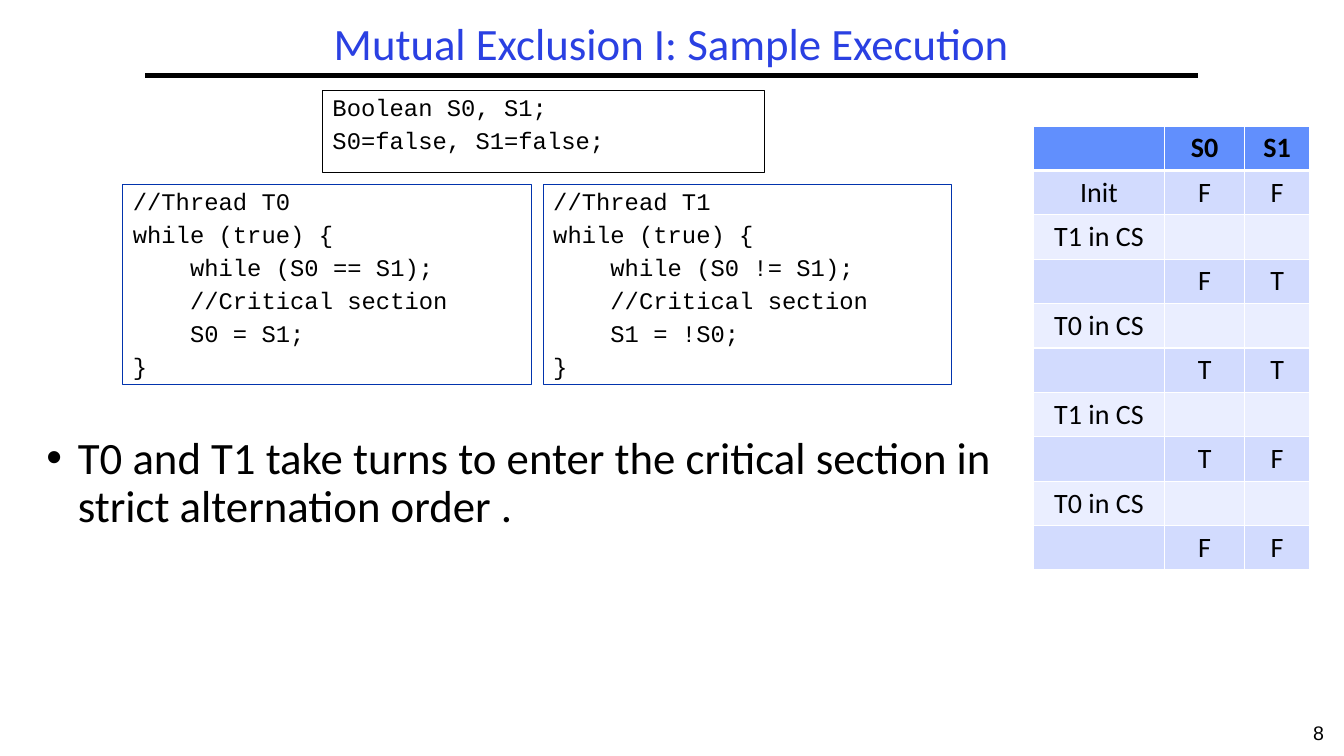
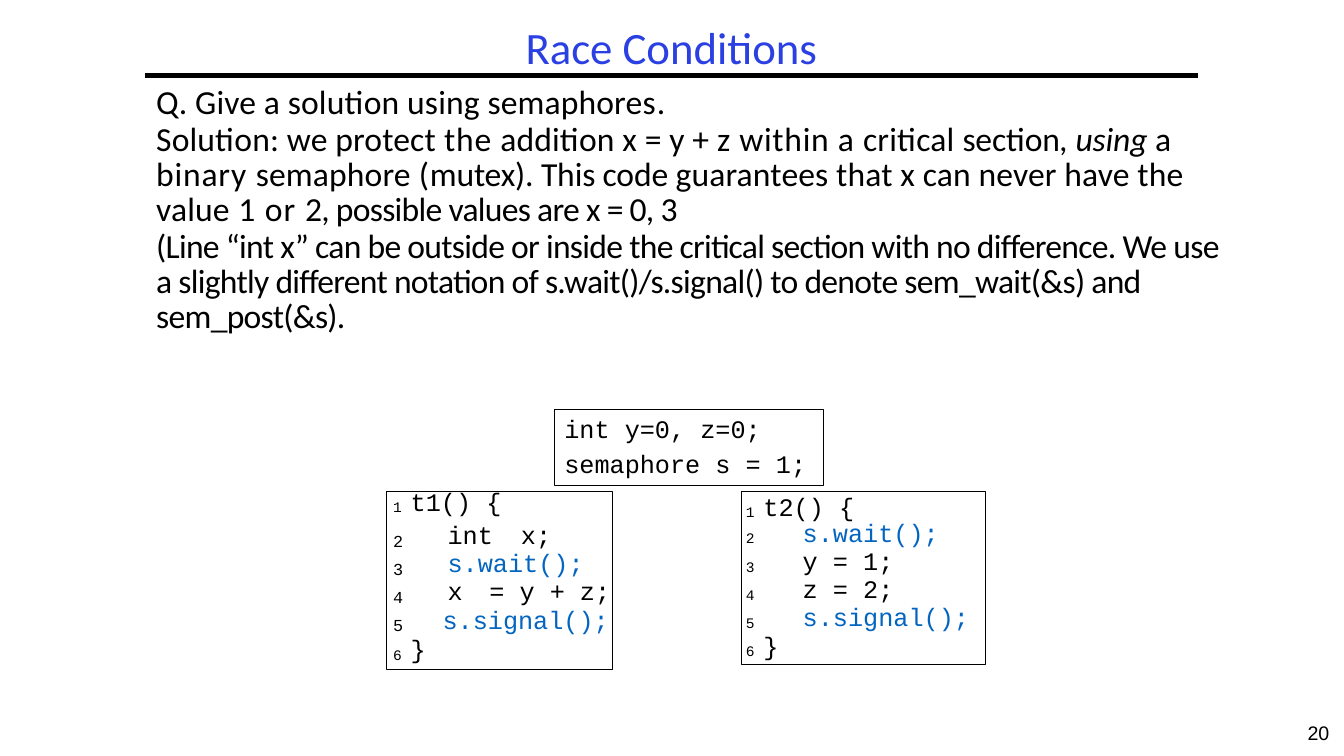
from dataclasses import dataclass

from lxml import etree
from pptx import Presentation
from pptx import util as u
from pptx.dml.color import RGBColor
from pptx.enum import shapes, text
from pptx.oxml.ns import qn

Pt = u.Pt
LEFT, MID = text.PP_ALIGN.LEFT, text.PP_ALIGN.CENTER
TOP, CENTRE = text.MSO_ANCHOR.TOP, text.MSO_ANCHOR.MIDDLE
PLAIN = "{2D5ABB26-0587-4C30-8999-92F81FD0307C}"


@dataclass(frozen=True)
class Theme:
    ink: str = "000000"
    paper: str = "FFFFFF"
    title: str = "2A40E2"
    edge: str = "0234AD"
    call: str = "0365C0"
    head: str = "618FFD"
    bands: tuple = ("D2DBFE", "EAEEFF")
    sans: str = "Calibri"
    mono: str = "Courier New"
    foot: str = "Arial"
    big: float = 32
    prose: float = 24
    grid: float = 20
    code: float = 18
    small: float = 17
    page: float = 14
    mark: float = 12


T = Theme()


def write(frame, lines, face=T.sans, size=T.prose, ink=T.ink, bold=False, align=LEFT,
          anchor=TOP, pads=(7.2, 3.6, 7.2, 3.6), gap=1.0, before=0, left=0, hang=0):
    frame.word_wrap = True
    frame.auto_size = text.MSO_AUTO_SIZE.NONE
    frame.vertical_anchor = anchor
    (frame.margin_left, frame.margin_top,
     frame.margin_right, frame.margin_bottom) = map(Pt, pads)
    for i, line in enumerate(lines):
        par = frame.paragraphs[0] if i == 0 else frame.add_paragraph()
        props = par._p.get_or_add_pPr()
        props.set("marL", str(Pt(left)))
        props.set("indent", str(Pt(hang)))
        par.alignment = align
        par.line_spacing = gap
        par.space_before = Pt(before if i else 0)
        par.space_after = Pt(0)
        for words, look in [(line, {})] if isinstance(line, str) else line:
            run = par.add_run()
            run.text = words
            font = run.font
            font.name, font.size = face, Pt(size)
            font.bold, font.italic = bold, look.get("slant", False)
            font.color.rgb = RGBColor.from_string(look.get("ink", ink))
            for key in ("spc", "baseline"):
                if key in look:
                    run._r.get_or_add_rPr().set(key, str(look[key]))


def spaced(*parts):
    return [(words, {"spc": spc}) for words, spc in parts]


def apart(one, two, spc):
    return spaced((one, 0), (" ", spc), (two, 0))


def lead(mark):
    return (mark, {"baseline": -7000})


class Deck:
    def __init__(self):
        self.file = Presentation()
        self.file.slide_width, self.file.slide_height = Pt(960), Pt(540)
        self.slide = None

    def start(self, layout, title, page, gap):
        self.slide = self.file.slides.add_slide(self.file.slide_layouts[layout])
        self.place(self.slide.shapes.title, 103.7, 12.2, 752, 41.8)
        write(self.slide.shapes.title.text_frame, [title], size=T.big, ink=T.title,
              align=MID, anchor=CENTRE, gap=gap)
        self.rule(103.7, 54, 856)
        self.label([page], 923.8, 511.2, 36, 28.8, face=T.foot, size=T.page, align=MID)

    def place(self, item, x, y, w, h):
        item.left, item.top, item.width, item.height = map(Pt, (x, y, w, h))

    def rule(self, x, y, end):
        line = self.slide.shapes.add_connector(
            shapes.MSO_CONNECTOR.STRAIGHT, *map(Pt, (x, y, end, y)))
        line.line.color.rgb = RGBColor.from_string(T.ink)
        line.line.width = Pt(3)
        etree.SubElement(line._element.spPr, qn("a:effectLst"))

    def label(self, lines, x, y, w, h, **look):
        box = self.slide.shapes.add_textbox(*map(Pt, (x, y, w, h)))
        write(box.text_frame, lines, **look)

    def list(self, lines, x, y, w, h):
        body = self.slide.placeholders[1]
        self.place(body, x, y, w, h)
        write(body.text_frame, lines, size=T.big, gap=0.9, left=22.5, hang=-22.5)

    def frame(self, x, y, w, h, lines=(), edge=T.ink, size=T.small, anchor=TOP):
        box = self.slide.shapes.add_shape(
            shapes.MSO_SHAPE.RECTANGLE, *map(Pt, (x, y, w, h)))
        box.shadow.inherit = False
        box.fill.background()
        box.line.color.rgb = RGBColor.from_string(edge)
        box.line.width = Pt(0.75)
        write(box.text_frame, lines, face=T.mono, size=size, anchor=anchor,
              gap=0.9, before=0.31 * size)

    def table(self, x, y, cols, rows):
        grid = self.slide.shapes.add_table(
            len(rows), len(cols), *map(Pt, (x, y, sum(cols), sum(rows)))).table
        grid.first_row = grid.horz_banding = False
        grid._tbl.tblPr.find(qn("a:tableStyleId")).text = PLAIN
        for col, wide in zip(grid.columns, cols):
            col.width = Pt(wide)
        for row, high in zip(grid.rows, rows):
            row.height = Pt(high)
        return grid

    def edges(self, cell, top, base):
        props = cell._tc.get_or_add_tcPr()
        for i, (side, wide) in enumerate((("L", 1), ("R", 1), ("T", top), ("B", base))):
            line = etree.Element(qn("a:ln" + side), w=str(Pt(wide)))
            fill = etree.SubElement(line, qn("a:solidFill"))
            etree.SubElement(fill, qn("a:srgbClr"), val=T.paper)
            props.insert(i, line)

    def states(self, data, x, y, cols, high):
        grid = self.table(x, y, cols, [high] * len(data))
        for i, row in enumerate(data):
            for j, words in enumerate(row):
                cell = grid.cell(i, j)
                cell.fill.solid()
                cell.fill.fore_color.rgb = RGBColor.from_string(
                    T.bands[(i - 1) % 2] if i else T.head)
                self.edges(cell, 3 if i == 1 else 1, 1 if i else 3)
                if words:
                    write(cell.text_frame, [words], size=T.grid, bold=i == 0, align=MID)

    def listing(self, x, y, cols, rows, first, second):
        grid = self.table(x, y, cols, rows)
        last = len(rows) - 1
        for cell in grid.iter_cells():
            cell.fill.background()
            cell.margin_left = cell.margin_right = cell.margin_top = cell.margin_bottom = 0

        def fill(i, j, line, top=0, size=T.code, **look):
            cell = grid.cell(i, j)
            write(cell.text_frame, [line], face=T.mono, size=size, pads=(0, 0, 0, 0), **look)
            cell.margin_top = Pt(top)

        for i, (one, two) in enumerate(zip(first, second)):
            mark = str(i + 1)
            if i in (0, last):
                grid.cell(i, 0).merge(grid.cell(i, 1))
                fill(i, 0, [lead(mark + " "), *one], left=5, gap=Pt(19.7 if i else 19.1))
                fill(i, 2, [lead(mark + " "), *two], left=4.3,
                     top=0 if i else 2.2, gap=Pt(17.4) if i else 1.0)
                continue
            fill(i, 0, mark, size=T.mark, top=5.8, left=5, gap=Pt(13.5))
            fill(i, 1, one, ink=self.tint(one), left=5 if i == last - 1 else 8.6,
                 gap=Pt(19))
            fill(i, 2, [lead(mark), (" ", {"spc": 2350}), (two, {"ink": self.tint(two)})],
                 left=4.3, gap=Pt(17.4))

    def tint(self, code):
        return T.call if code[:2] == "s." else T.ink


def thread(name, test, step):
    return [f"//Thread {name}", "while (true) {", f"    while ({test});",
            "    //Critical section", f"    {step};", "}"]


def mutex(deck):
    deck.start(1, "Mutual Exclusion I: Sample Execution", "8", 0.9)
    deck.list(["T0 and T1 take turns to enter the critical section in "
               "strict alternation order ."], 25.9, 307.4, 700, 198.7)
    threads = [("T0", "S0 == S1", "S0 = S1"), ("T1", "S0 != S1", "S1 = !S0")]
    for i, parts in enumerate(threads):
        deck.frame(87.8 + 300.3 * i, 131.8, 291.6, 142.6, thread(*parts), edge=T.edge)
    deck.frame(230.4, 65, 315.4, 58.5, ["Boolean S0, S1;", "S0=false, S1=false;"])
    data = [("", "S0", "S1"), ("Init", "F", "F")]
    for who, *flags in [("T1", "F", "T"), ("T0", "T", "T"), ("T1", "T", "F"), ("T0", "F", "F")]:
        data += [(f"{who} in CS", "", ""), ("", *flags)]
    deck.states(data, 738, 90, (94, 57, 46.5), 31.7)


def race(deck):
    deck.start(5, "Race Conditions", "20", 1.0)
    prose = [
        spaced(("Q. Give a solution using semaphores", 10), (".", -10)),
        spaced(("Solution: we protect ", 10), ("the ", 50), ("addition x = y + z", 10),
               (" within a ", 50), ("critical ", 10), ("section", -10))
        + [(", using ", {"slant": True, "spc": -10})]
        + spaced(("a ", 10), ("binary ", 60), ("semaphore ", 10), ("(", 60),
                 ("mutex). This code ", -10),
                 ("guarantees that x can never have the value", 10),
                 (" 1 or ", 70), ("2, possible values are x = 0, 3", -50)),
        spaced(("(Line “int x” can be outside or inside the critical section with no "
                "difference. We use a slightly different notation of s.wait()/s.signal() "
                "to denote sem_wait(&s) and sem_post(&s).", -50)),
    ]
    deck.label(prose, 110.9, 59.8, 765.4, 180, pads=(0, 1.4, 0, 0),
               gap=Pt(25.1), before=1.4, left=0.7)
    close = spaced(("}", 0))
    first = [apart("t1()", "{", -340), apart("int", "x;", 920), "s.wait();",
             apart("x", "= y + z;", 820), "s.signal();", close]
    second = [apart("t2()", "{", -340), "s.wait();", "y = 1;", "z = 2;", "s.signal();", close]
    deck.listing(275.8, 351.4, (35.3, 217.4, 178.6), [23.8] + [20.2] * 5, first, second)
    deck.frame(275.8, 351.4, 162, 126.7)
    deck.frame(529.9, 351.4, 174.2, 123.1)
    deck.frame(396, 292.3, 192.2, 54.7, ["int y=0, z=0;", "semaphore s = 1;"],
               size=T.code, anchor=CENTRE)


def main():
    deck = Deck()
    mutex(deck)
    race(deck)
    deck.file.save("out.pptx")


if __name__ == "__main__":
    main()
